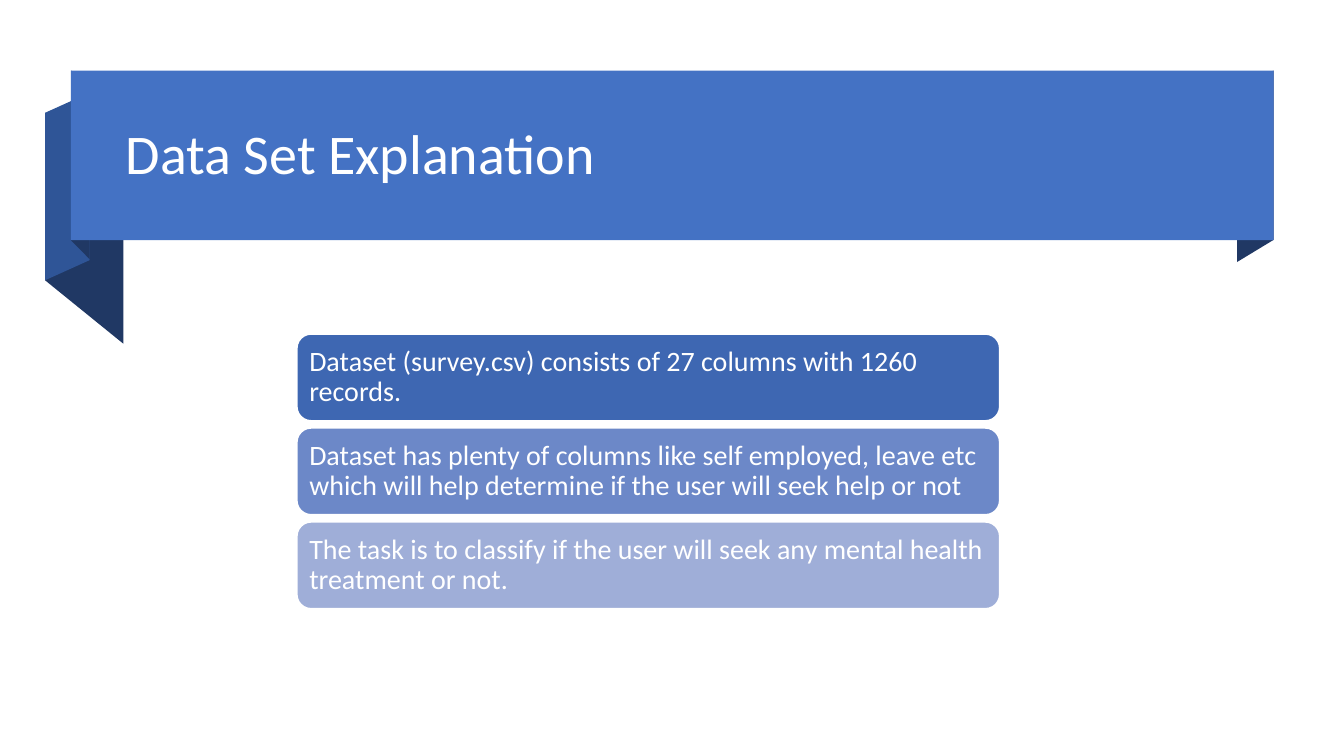
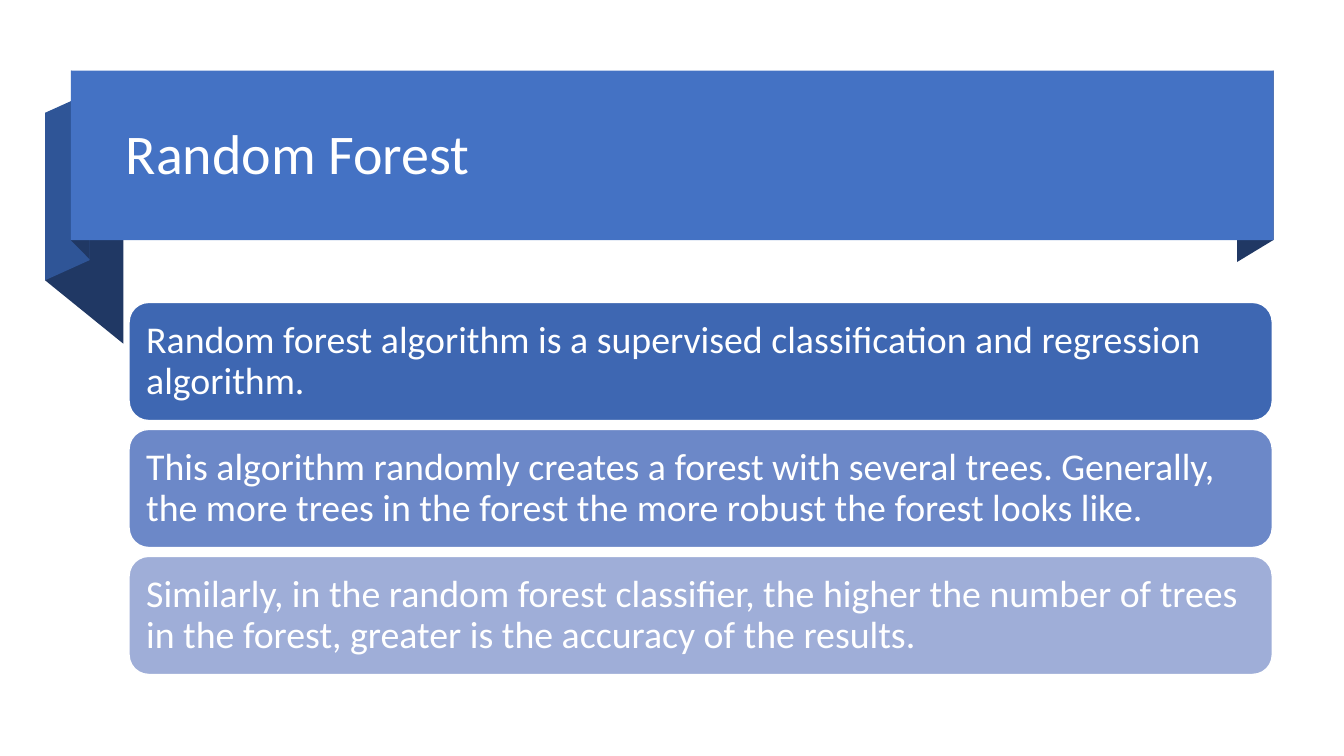
"""Build two ribbon-titled slides, each with a stack of three shaded cards."""
from dataclasses import dataclass

from pptx import Presentation
from pptx.dml.color import RGBColor
from pptx.enum.shapes import MSO_SHAPE
from pptx.enum.text import MSO_ANCHOR, PP_ALIGN
from pptx.shapes.autoshape import Shape
from pptx.slide import Slide
from pptx.text.text import TextFrame
from pptx.util import Pt

FONT = "Calibri"
WHITE = RGBColor(0xFF, 0xFF, 0xFF)
BAND_BLUE = RGBColor(0x44, 0x72, 0xC4)
FOLD_BLUE = RGBColor(0x2F, 0x55, 0x97)
FOLD_NAVY = RGBColor(0x20, 0x38, 0x64)
CARD_COLORS = (
    RGBColor(0x3E, 0x67, 0xB2),
    RGBColor(0x6C, 0x88, 0xC8),
    RGBColor(0x9F, 0xAE, 0xD8),
)
TITLE_SIZE = 40
INSET_RATIO = 0.3


@dataclass(frozen=True)
class Box:
    left: float
    top: float
    width: float
    height: float

    def emu(self) -> tuple[Pt, Pt, Pt, Pt]:
        return Pt(self.left), Pt(self.top), Pt(self.width), Pt(self.height)


@dataclass(frozen=True)
class Fold:
    color: RGBColor
    points: tuple[tuple[float, float], ...]


@dataclass(frozen=True)
class CardStack:
    first: Box
    pitch: float
    font_size: float
    line_width: float
    texts: tuple[str, ...]


@dataclass(frozen=True)
class Page:
    title: str
    cards: CardStack


BAND = Box(50.7, 50.4, 859, 121.2)
TITLE = Box(82.8, 59.8, 811.4, 104.4)
FOLDS = (
    Fold(FOLD_NAVY, ((909.7, 171.4), (883.6, 187.2), (883.6, 65.5), (909.7, 50.4))),
    Fold(FOLD_NAVY, ((88.1, 245.5), (32.2, 200.2), (32.2, 80.6), (88.1, 126))),
    Fold(FOLD_BLUE, ((64.1, 185.8), (32.2, 200.2), (32.2, 80.6), (64.1, 66.2))),
    Fold(FOLD_NAVY, ((64.1, 185.2), (50.8, 171.8), (50.8, 50.4), (64.1, 64.1))),
)

PAGES = (
    Page("Data Set Explanation", CardStack(
        Box(211.9, 238.4, 502.4, 62.4), 67.1, 20, 1.5, (
            "Dataset (survey.csv) consists of 27 columns with 1260 records.",
            "Dataset has plenty of columns like self employed, leave etc "
            "which will help determine if the user will seek help or not",
            "The task is to classify if the user will seek any mental health "
            "treatment or not.",
        ))),
    Page("Random Forest", CardStack(
        Box(92.2, 216, 816.6, 84.4), 90.7, 27, 1, (
            "Random forest algorithm is a supervised classification and "
            "regression algorithm.",
            "This algorithm randomly creates a forest with several trees. "
            "Generally, the more trees in the forest the more robust the "
            "forest looks like.",
            "Similarly, in the random forest classifier, the higher the number "
            "of trees in the forest, greater is the accuracy of the results.",
        ))),
)


def paint(sp: Shape, color: RGBColor, line_width: float = 0) -> None:
    sp.shadow.inherit = False
    sp.fill.solid()
    sp.fill.fore_color.rgb = color
    if line_width:
        sp.line.color.rgb = WHITE
        sp.line.width = Pt(line_width)
    else:
        sp.line.fill.background()


def write(tf: TextFrame, text: str, size: float) -> None:
    tf.word_wrap = True
    tf.vertical_anchor = MSO_ANCHOR.MIDDLE
    p = tf.paragraphs[0]
    p.alignment = PP_ALIGN.LEFT
    p.line_spacing = 0.9
    r = p.add_run()
    r.text = text
    r.font.name = FONT
    r.font.size = Pt(size)
    r.font.color.rgb = WHITE


def add_ribbon(s: Slide, title: str) -> None:
    for fold in FOLDS:
        start, *rest = [(Pt(x), Pt(y)) for x, y in fold.points]
        builder = s.shapes.build_freeform(*start)
        builder.add_line_segments(rest, close=True)
        paint(builder.convert_to_shape(), fold.color)
    paint(s.shapes.add_shape(MSO_SHAPE.RECTANGLE, *BAND.emu()), BAND_BLUE)
    write(s.shapes.add_textbox(*TITLE.emu()).text_frame, title, TITLE_SIZE)


def add_cards(s: Slide, cards: CardStack) -> None:
    first = cards.first
    inset = Pt(cards.font_size * INSET_RATIO)
    for i, (text, color) in enumerate(zip(cards.texts, CARD_COLORS)):
        box = Box(first.left, first.top + i * cards.pitch, first.width, first.height)
        sp = s.shapes.add_shape(MSO_SHAPE.ROUNDED_RECTANGLE, *box.emu())
        paint(sp, color, cards.line_width)
        tf = sp.text_frame
        tf.margin_left = tf.margin_right = inset
        tf.margin_top = tf.margin_bottom = inset
        write(tf, text, cards.font_size)


def main() -> None:
    prs = Presentation()
    prs.slide_width, prs.slide_height = Pt(960), Pt(540)
    for page in PAGES:
        s = prs.slides.add_slide(prs.slide_layouts[6])
        add_ribbon(s, page.title)
        add_cards(s, page.cards)
    prs.save("out.pptx")


if __name__ == "__main__":
    main()
